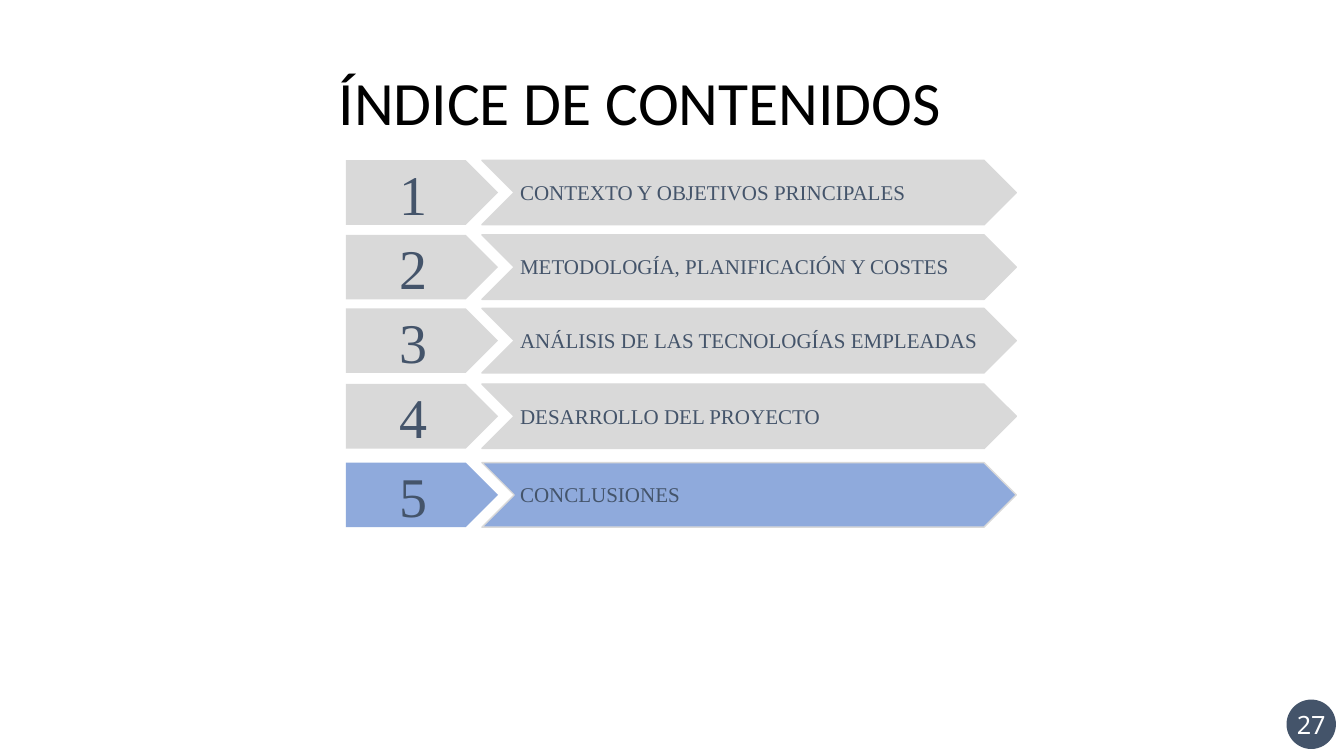
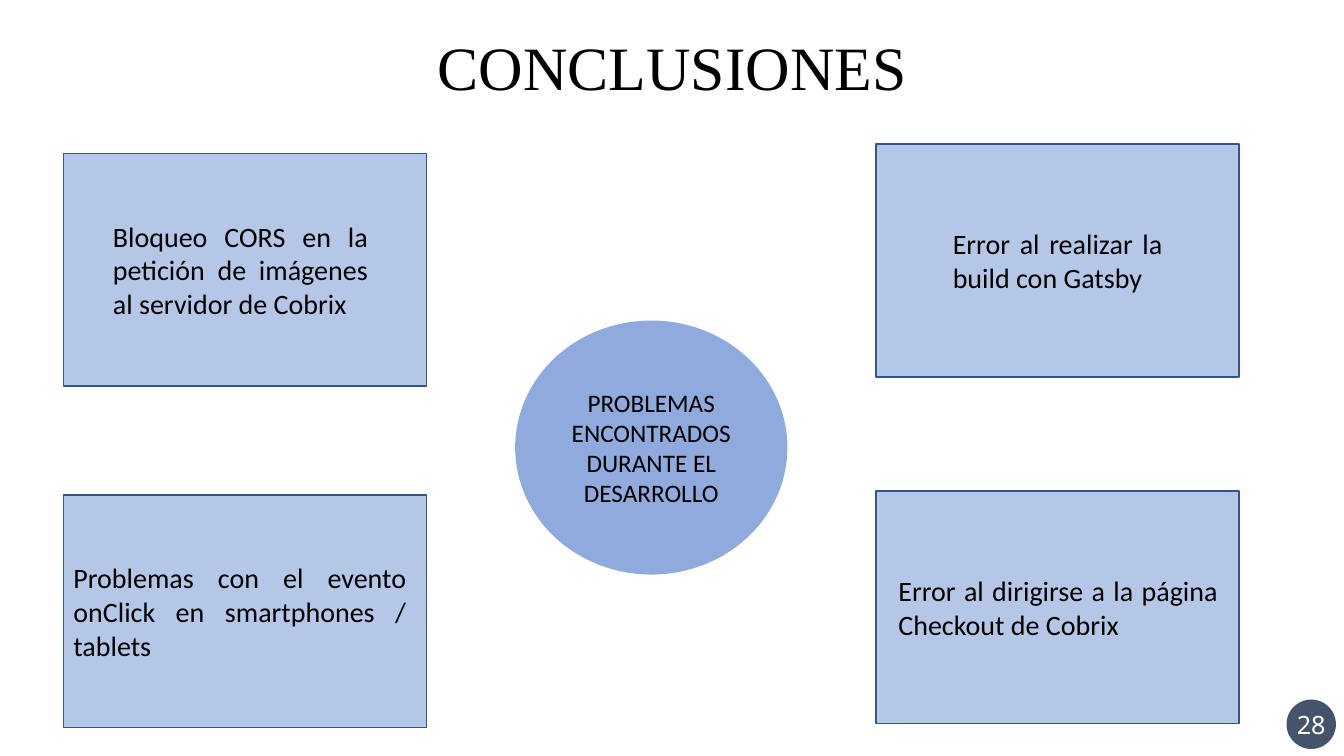
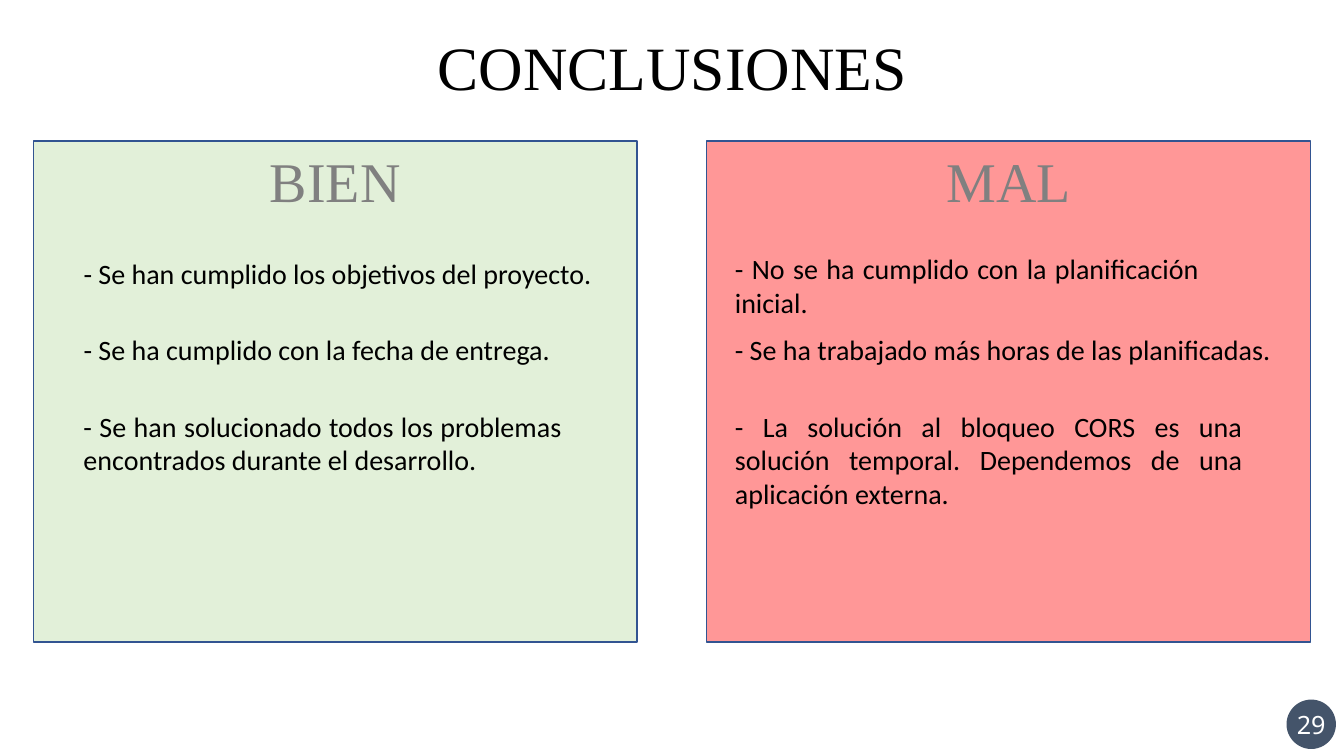
import pptx
import pptx.util
import pptx.dml.color
import pptx.enum.shapes
import pptx.enum.text

Inches = pptx.util.Inches
SHAPE = pptx.enum.shapes.MSO_SHAPE
ALIGN = pptx.enum.text.PP_ALIGN
ANCHOR = pptx.enum.text.MSO_ANCHOR

HEX = {
    "black": "000000", "white": "FFFFFF", "slate": "44546A",
    "gray": "D9D9D9", "blue": "8FAADC", "pale": "B4C7E7",
    "edge": "325491", "green": "E2F0D9", "red": "FF9797", "dim": "808080",
}
SERIF = "Times New Roman"
SANS = "Calibri"


def color(name):
    return pptx.dml.color.RGBColor.from_string(HEX[name])


def write(shape, text, size=20, font=SANS, ink="black", align=ALIGN.JUSTIFY,
          anchor=ANCHOR.TOP, wrap=True, left=0.1, right=0.1, lines=None):
    """Fill a shape's frame with one formatted paragraph."""
    frame = shape.text_frame
    frame.word_wrap = wrap
    frame.vertical_anchor = anchor
    frame.margin_left, frame.margin_right = Inches(left), Inches(right)
    para = frame.paragraphs[0]
    para.alignment = align
    para.line_spacing = lines
    run = para.add_run()
    run.text = text
    run.font.size = pptx.util.Pt(size)
    run.font.name = font
    run.font.color.rgb = color(ink)


def label(slide, text, x, y, w, h, **style):
    box = slide.shapes.add_textbox(Inches(x), Inches(y), Inches(w), Inches(h))
    write(box, text, **style)


def block(slide, kind, x, y, w, h, fill, line=None):
    shape = slide.shapes.add_shape(
        kind, Inches(x), Inches(y), Inches(w), Inches(h))
    shape.shadow.inherit = False
    shape.fill.solid()
    shape.fill.fore_color.rgb = color(fill)
    if line:
        shape.line.color.rgb = color(line)
        shape.line.width = pptx.util.Pt(1)
    else:
        shape.line.fill.background()
    return shape


def start(deck, page):
    """Add a blank slide with its page badge."""
    slide = deck.slides.add_slide(deck.slide_layouts[6])
    badge = block(slide, SHAPE.OVAL, 12.76, 6.94, 0.49, 0.49, "slate")
    write(badge, str(page), size=18, font="Noto Sans", ink="white",
          align=ALIGN.CENTER, anchor=ANCHOR.MIDDLE, wrap=False)
    return slide


def head(slide):
    label(slide, "CONCLUSIONES", 1.38, 0.24, 10.58, 0.84,
          size=44, font=SERIF, align=ALIGN.CENTER)


def entry(slide, x, y, num, text, fill):
    """Draw one index row: number tag, chevron and heading."""
    block(slide, SHAPE.PENTAGON, x, y, 1.51, 0.64, fill)
    block(slide, SHAPE.CHEVRON, x + 1.35, y, 5.3, 0.64, fill, "gray")
    label(slide, str(num), x + 0.24, y - 0.06, 0.86, 0.77,
          size=40, font=SERIF, ink="slate", align=ALIGN.CENTER)
    label(slide, text, x + 1.63, y + 0.14, 5.1, 0.35,
          size=15, font=SERIF, ink="slate")


def card(slide, x, y, text, left, right):
    shape = block(slide, SHAPE.RECTANGLE, x, y, 3.6, 2.31, "pale", "edge")
    write(shape, text, anchor=ANCHOR.MIDDLE, left=left, right=right)


def panel(slide, x, y, title, fill, inset, items):
    """Draw a titled panel; items are (drop, width, height, text)."""
    shape = block(slide, SHAPE.RECTANGLE, x, y, 5.99, 4.97, fill, "edge")
    write(shape, title, size=40, font=SERIF, ink="dim", align=ALIGN.CENTER)
    for drop, w, h, text in items:
        label(slide, text, x + inset, y + drop, w, h)


def index(deck):
    slide = start(deck, 27)
    label(slide, "ÍNDICE DE CONTENIDOS", 3.26, 0.32, 9.5, 1.45, size=44,
          align=ALIGN.LEFT, anchor=ANCHOR.MIDDLE, lines=0.9)
    rows = [
        (1.59, "CONTEXTO Y OBJETIVOS PRINCIPALES"),
        (2.33, "METODOLOGÍA, PLANIFICACIÓN Y COSTES"),
        (3.06, "ANÁLISIS DE LAS TECNOLOGÍAS EMPLEADAS"),
        (3.81, "DESARROLLO DEL PROYECTO"),
        (4.59, "CONCLUSIONES"),
    ]
    for num, (y, text) in enumerate(rows, 1):
        fill = "blue" if num == len(rows) else "gray"
        entry(slide, 3.43, y, num, text, fill)


def issues(deck):
    slide = start(deck, 28)
    head(slide)
    cards = [
        (0.63, 1.52, "Bloqueo CORS en la petición de imágenes al servidor "
         "de Cobrix", 0.49, 0.58),
        (8.69, 1.43, "Error al realizar la build con Gatsby", 0.76, 0.76),
        (0.63, 4.91, "Problemas con el evento onClick en smartphones / "
         "tablets", 0.1, 0.2),
        (8.69, 4.87, "Error al dirigirse a la página Checkout de Cobrix",
         0.22, 0.21),
    ]
    for spot in cards:
        card(slide, *spot)
    hub = block(slide, SHAPE.OVAL, 5.11, 3.18, 2.7, 2.52, "blue")
    write(hub, "PROBLEMAS ENCONTRADOS DURANTE EL DESARROLLO", size=18,
          align=ALIGN.CENTER, anchor=ANCHOR.MIDDLE)


def review(deck):
    slide = start(deck, 29)
    head(slide)
    panel(slide, 0.33, 1.4, "BIEN", "green", 0.4, [
        (1.1, 5.42, 0.44, "- Se han cumplido los objetivos del proyecto."),
        (1.85, 5.42, 0.44, "- Se ha cumplido con la fecha de entrega."),
        (2.61, 4.94, 0.77, "- Se han solucionado todos los problemas "
         "encontrados durante el desarrollo."),
    ])
    panel(slide, 7.01, 1.4, "MAL", "red", 0.18, [
        (1.05, 4.8, 0.77, "- No se ha cumplido con la planificación inicial."),
        (1.85, 5.7, 0.44, "- Se ha trabajado más horas de las planificadas."),
        (2.61, 5.23, 1.11, "- La solución al bloqueo CORS es una solución "
         "temporal. Dependemos de una aplicación externa."),
    ])


def main():
    deck = pptx.Presentation()
    deck.slide_width, deck.slide_height = Inches(13.33), Inches(7.5)
    index(deck)
    issues(deck)
    review(deck)
    deck.save("out.pptx")


if __name__ == "__main__":
    main()
